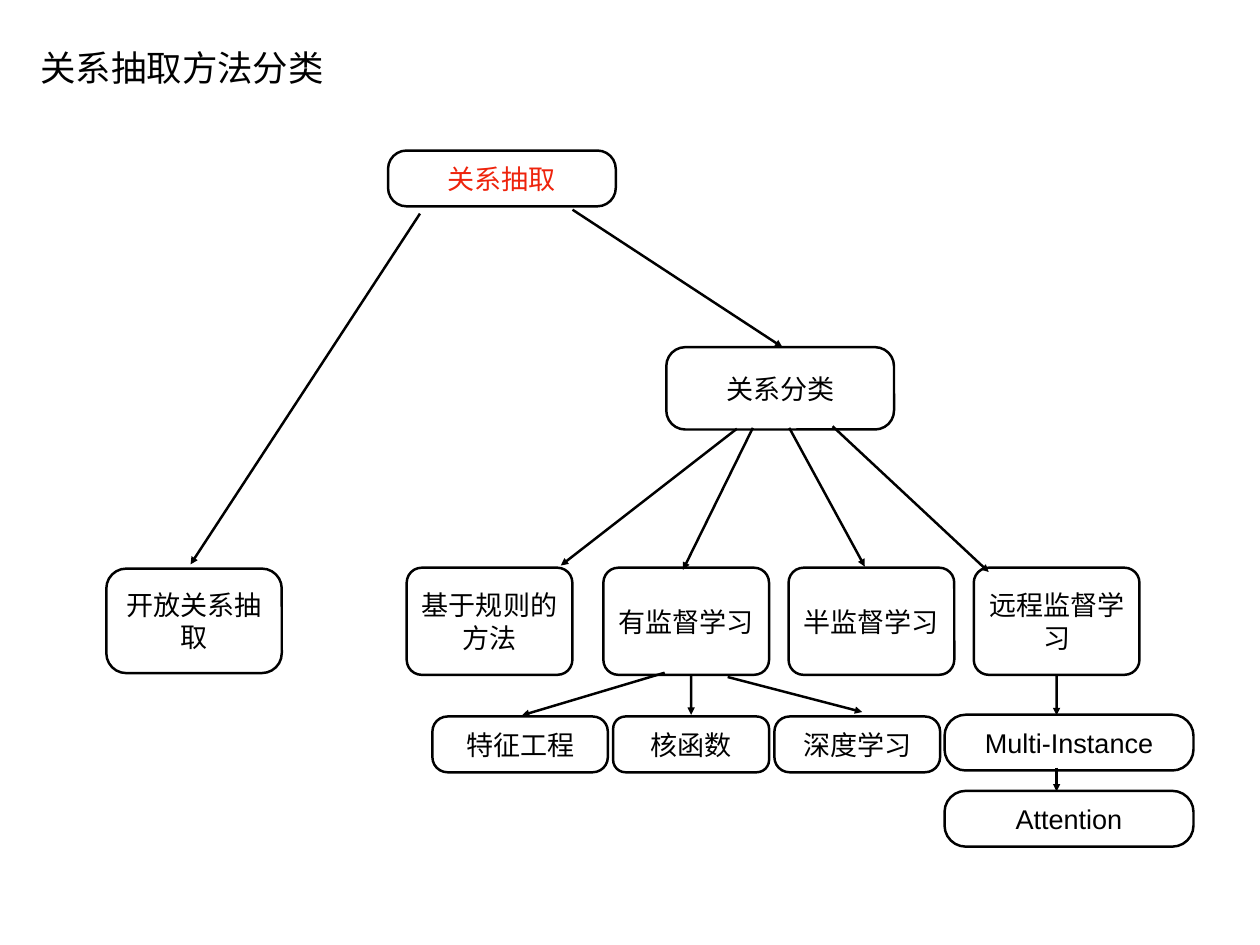
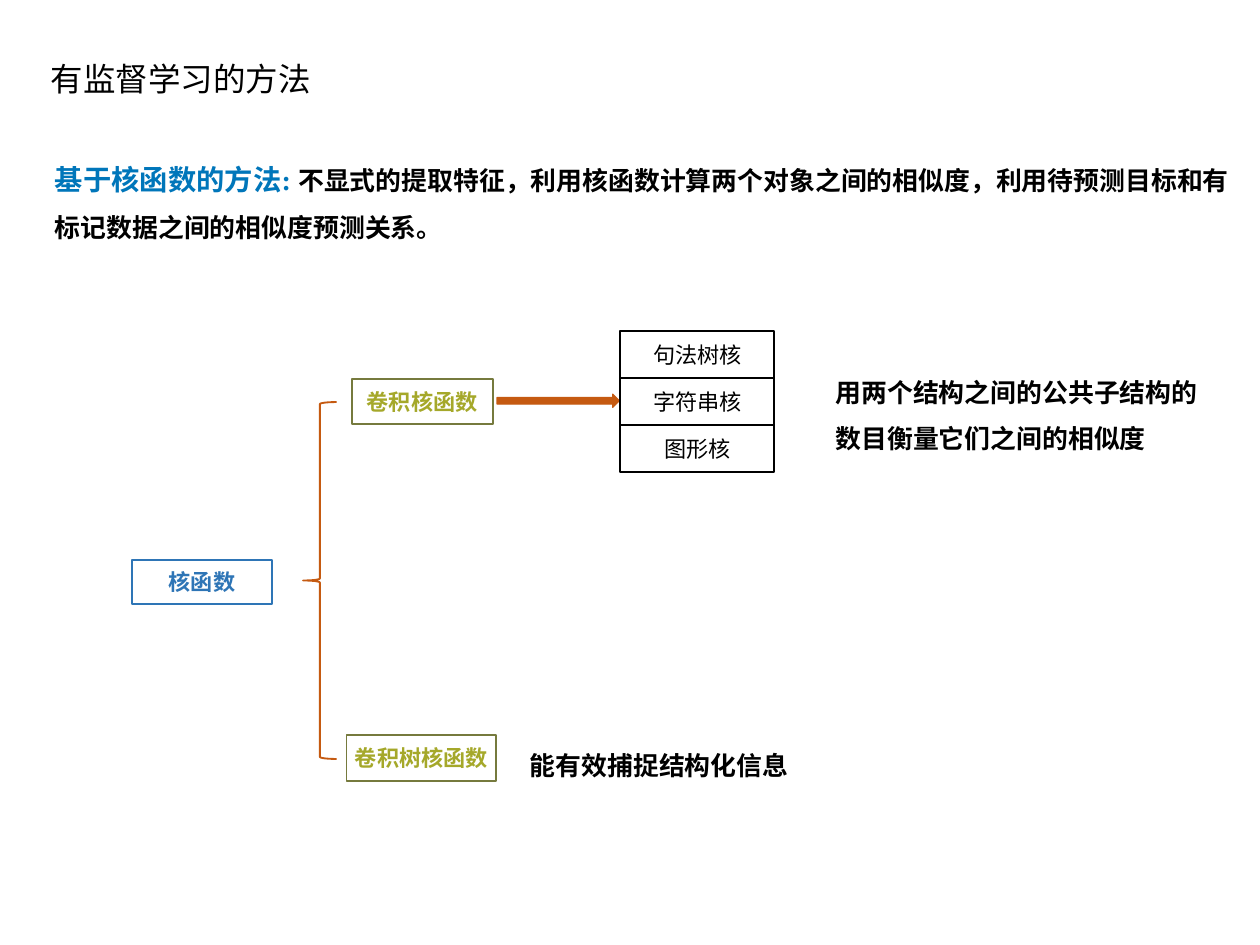
import dataclasses

import lxml.etree
import pptx
import pptx.dml.color
import pptx.enum.shapes
import pptx.enum.text
import pptx.oxml.ns
import pptx.util

RGBColor = pptx.dml.color.RGBColor
SHAPE = pptx.enum.shapes.MSO_SHAPE
ALIGN = pptx.enum.text.PP_ALIGN
ANCHOR = pptx.enum.text.MSO_ANCHOR
qn = pptx.oxml.ns.qn

BLACK = RGBColor(0x00, 0x00, 0x00)
WHITE = RGBColor(0xFF, 0xFF, 0xFF)
RED = RGBColor(0xEE, 0x23, 0x0C)
HEADING_BLUE = RGBColor(0x00, 0x76, 0xBA)
BLUE = RGBColor(0x2E, 0x75, 0xB6)
OLIVE = RGBColor(0x76, 0x7A, 0x3E)
LIME = RGBColor(0xA5, 0xA8, 0x2A)
ORANGE = RGBColor(0xC5, 0x5A, 0x11)

SANS = "Arial"
SERIF = "Times New Roman"

# The slide is a grid of square cells, ten to the inch
CELL = pptx.util.Inches(0.1)
COLUMNS, ROWS = 142.2, 106.7


def cells(count):
    return pptx.util.Emu(round(count * CELL))


@dataclasses.dataclass
class Box:
    """A rectangle in grid cells."""
    left: float
    top: float
    width: float
    height: float

    def inside(self, left, top, width, height):
        return Box(self.left + left, self.top + top, width, height)

    def point(self, across, down):
        return (cells(self.left + across * self.width),
                cells(self.top + down * self.height))

    def emu(self):
        return [cells(n) for n in (self.left, self.top, self.width, self.height)]


# Shared parts

def write(shape, runs, size, font=SANS, align=ALIGN.CENTER,
          anchor=ANCHOR.MIDDLE, spacing=None, wrap=True):
    """Write runs of (text, colour, bold[, size]) as one paragraph."""
    frame = shape.text_frame
    frame.word_wrap = wrap
    frame.vertical_anchor = anchor
    frame.margin_left = frame.margin_right = pptx.util.Inches(0.06)
    frame.margin_top = frame.margin_bottom = pptx.util.Inches(0.06)
    para = frame.paragraphs[0]
    para.alignment = align
    if spacing:
        para.line_spacing = spacing
    for text, color, bold, *own_size in runs:
        span = para.add_run()
        span.text = text
        span.font.name = font
        span.font.size = pptx.util.Pt(own_size[0] if own_size else size)
        span.font.bold = bold
        span.font.color.rgb = color


def add_figure(page, kind, box, line, weight, fill=None, adjust=()):
    shape = page.shapes.add_shape(kind, *box.emu())
    shape.shadow.inherit = False
    for index, value in enumerate(adjust):
        shape.adjustments[index] = value
    if fill is None:
        shape.fill.background()
    else:
        shape.fill.solid()
        shape.fill.fore_color.rgb = fill
    shape.line.color.rgb = line
    shape.line.width = pptx.util.Pt(weight)
    return shape


def add_title(page, box, text, size):
    write(page.shapes.add_textbox(*box.emu()), [(text, BLACK, False)], size,
          wrap=False)


def add_statement(page, box, runs):
    write(page.shapes.add_textbox(*box.emu()), runs, 21, SERIF, ALIGN.LEFT,
          spacing=1.5)


def add_node(page, box, text, rounding, color=BLACK):
    node = add_figure(page, SHAPE.ROUNDED_RECTANGLE, box, BLACK, 2, WHITE,
                      [rounding])
    write(node, [(text, color, False)], 22)
    return box


def add_label(page, box, text, line=BLACK, color=BLACK, bold=True):
    write(add_figure(page, SHAPE.RECTANGLE, box, line, 1.5),
          [(text, color, bold)], 18, SERIF)


def add_arrow(page, source, leave, target, reach):
    """Join two boxes; leave and reach are shares of each box."""
    arrow = page.shapes.add_connector(
        pptx.enum.shapes.MSO_CONNECTOR.STRAIGHT,
        *source.point(*leave), *target.point(*reach))
    arrow.line.color.rgb = BLACK
    arrow.line.width = pptx.util.Pt(2)
    properties = arrow.element.spPr
    lxml.etree.SubElement(properties.find(qn("a:ln")), qn("a:tailEnd"),
                          type="triangle")
    lxml.etree.SubElement(properties, qn("a:effectLst"))


# Slide 1: tree of methods

def draw_trunk(page, area):
    root = add_node(page, area.inside(31.8, 0, 25.7, 6.3), "关系抽取", 0.33, RED)
    open_extraction = add_node(page, area.inside(0, 47.2, 19.8, 11.8),
                               "开放关系抽取", 0.19)
    classes = add_node(page, area.inside(63.2, 22.2, 25.7, 9.3), "关系分类", 0.23)
    add_arrow(page, root, (0.81, 1.06), classes, (0.51, 0))
    add_arrow(page, root, (0.14, 1.13), open_extraction, (0.48, -0.04))
    return classes


def draw_methods(page, area, classes):
    methods = [
        ("基于规则的方法", 0, (0.31, 0.99), (0.93, -0.02)),
        ("有监督学习", 22.2, (0.38, 0.98), (0.48, 0.02)),
        ("半监督学习", 43.1, (0.54, 0.98), (0.46, -0.01)),
        ("远程监督学习", 64, (0.73, 0.96), (0.09, 0.04)),
    ]
    nodes = []
    for text, left, leave, reach in methods:
        node = add_node(page, area.inside(left, 0, 18.7, area.height), text, 0.14)
        add_arrow(page, classes, leave, node, reach)
        nodes.append(node)
    return nodes


def draw_supervised(page, area, supervised):
    techniques = [
        ("特征工程", 19.8, 0.27, (0.37, 0.98), (0.51, -0.02)),
        ("核函数", 17.6, 0.22, (0.53, 1.01), (0.5, -0.03)),
        ("深度学习", 18.7, 0.27, (0.75, 1.02), (0.53, -0.08)),
    ]
    left, gap = 0, 0.6
    for text, width, rounding, leave, reach in techniques:
        node = add_node(page, area.inside(left, 0, width, area.height), text,
                        rounding)
        add_arrow(page, supervised, leave, node, reach)
        left += width + gap


def draw_distant(page, area, distant):
    above, leave = distant, (0.5, 1.01)
    for row, text in enumerate(["Multi-Instance", "Attention"]):
        node = add_node(page, area.inside(0, row * 8.6, area.width, 6.3), text,
                        0.38)
        add_arrow(page, above, leave, node, (0.45, 0.01))
        above, leave = node, (0.45, 0.95)


def draw_taxonomy(page, area):
    add_title(page, area.inside(3.9, 2.3, 33.3, 10.6), "关系抽取方法分类", 28.8)
    classes = draw_trunk(page, area.inside(12, 17, 88.9, 59))
    methods = draw_methods(page, area.inside(45.9, 64.1, 82.7, 12.1), classes)
    draw_supervised(page, area.inside(48.8, 80.9, 57.3, 6.3), methods[1])
    draw_distant(page, area.inside(106.6, 80.7, 28.1, 14.9), methods[3])


# Slide 2: kernel methods

def draw_kernel_stack(page, area):
    names = ["句法树核", "字符串核", "图形核"]
    height = area.height / len(names)
    for row, name in enumerate(names):
        add_label(page, area.inside(0, row * height, area.width, height), name,
                  bold=False)


def draw_kernel_tree(page, area):
    add_label(page, area.inside(0, 25.8, 15.8, 5), "核函数", BLUE, BLUE)
    add_figure(page, SHAPE.LEFT_BRACE, area.inside(19.3, 8, 3.8, 40.3),
               ORANGE, 1.5, adjust=[0.06, 0.5])
    add_label(page, area.inside(24.8, 5.4, 15.9, 5.1), "卷积核函数", OLIVE, LIME)
    add_label(page, area.inside(24.2, 45.6, 16.9, 5.2), "卷积树核函数", OLIVE, LIME)
    add_figure(page, SHAPE.RIGHT_ARROW, area.inside(41.2, 7.1, 13.8, 1.5),
               ORANGE, 1, ORANGE, [0.5, 0.5])
    draw_kernel_stack(page, area.inside(55.1, 0, 17.4, 15.9))


def draw_kernels(page, area):
    add_title(page, area.inside(5, 3.6, 30.8, 10.6), "有监督学习的方法", 26.4)
    add_statement(page, area.inside(5.6, 15.9, 134.2, 11.9), [
        ("基于核函数的方法: ", HEADING_BLUE, True, 23),
        ("不显式的提取特征，利用核函数计算两个对象之间的相似度，"
         "利用待预测目标和有标记数据之间的相似度预测关系。", BLACK, True)])
    draw_kernel_tree(page, area.inside(14.9, 37.4, 72.5, 50.8))
    add_statement(page, area.inside(93.7, 40.4, 42.2, 11.2), [
        ("用两个结构之间的公共子结构的数目衡量它们之间的相似度", BLACK, True)])
    add_statement(page, area.inside(59.2, 83, 30.8, 5.1), [
        ("能有效捕捉结构化信息", BLACK, True)])


def main():
    deck = pptx.Presentation()
    deck.slide_width, deck.slide_height = cells(COLUMNS), cells(ROWS)
    for draw in (draw_taxonomy, draw_kernels):
        page = deck.slides.add_slide(deck.slide_layouts[6])
        draw(page, Box(0, 0, COLUMNS, ROWS))
    deck.save("out.pptx")


if __name__ == "__main__":
    main()
